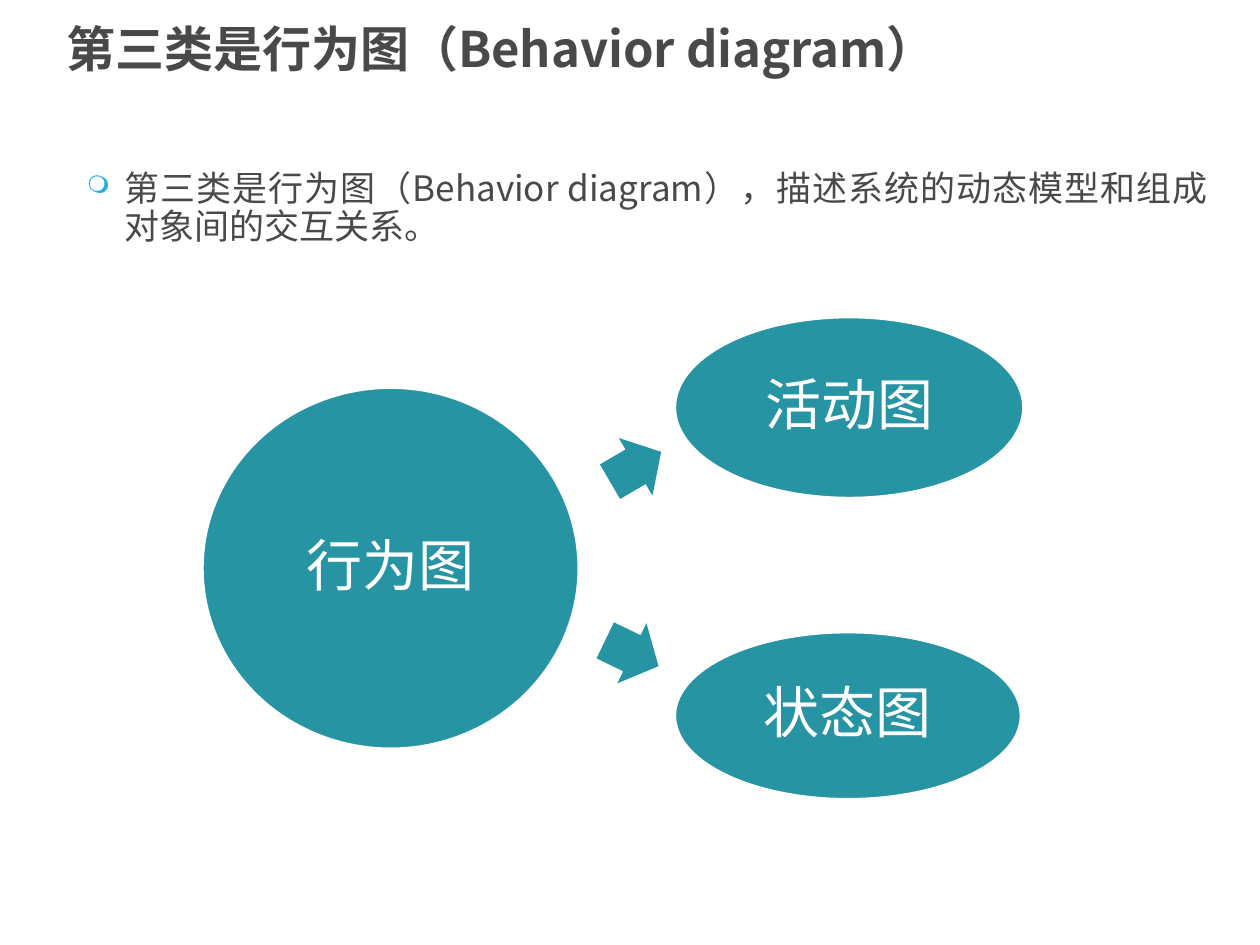
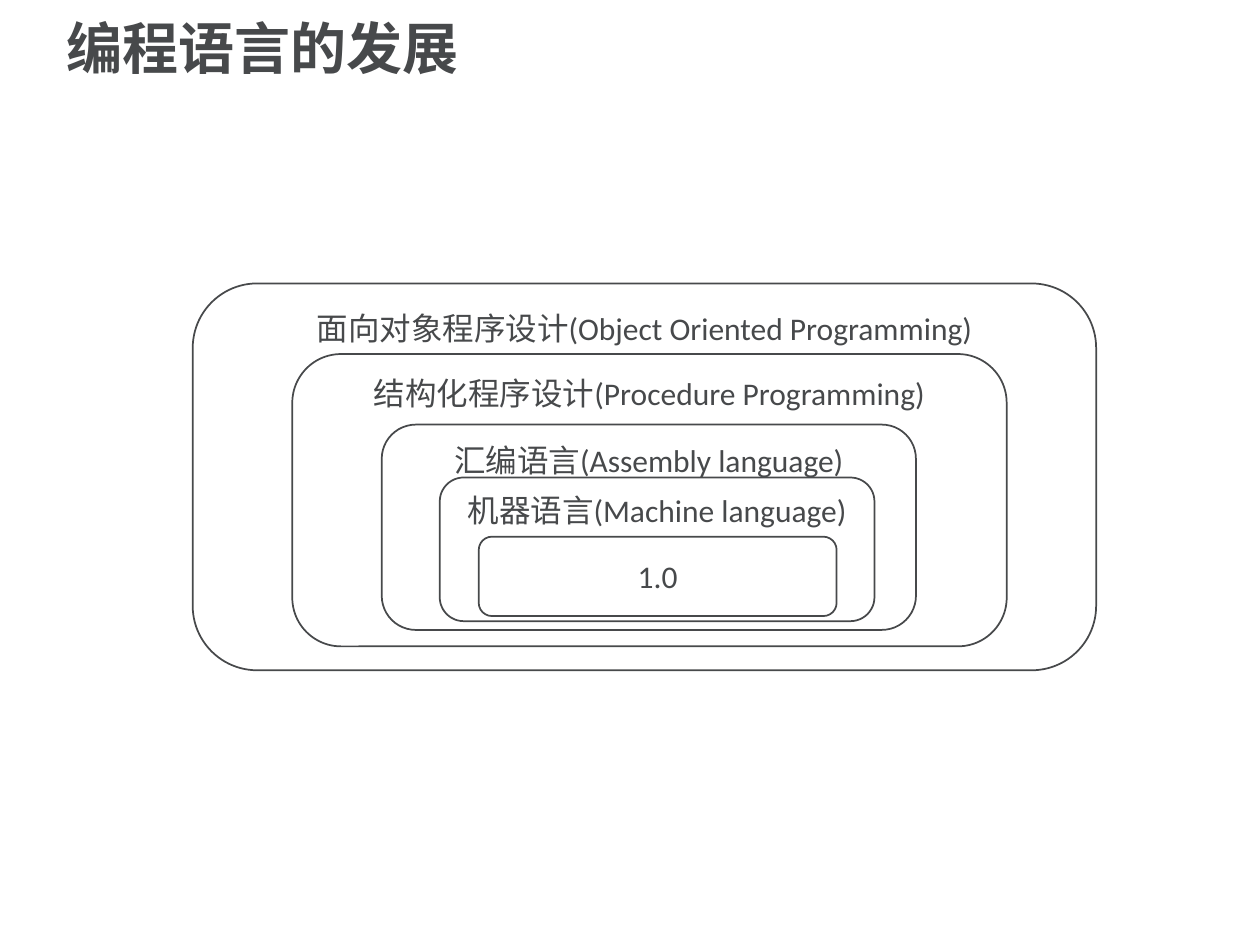
from pptx import Presentation
from pptx.dml.color import RGBColor
from pptx.enum.shapes import MSO_SHAPE as Shape
from pptx.enum.text import MSO_ANCHOR as Anchor, PP_ALIGN as Align
from pptx.oxml.ns import qn
from pptx.util import Inches, Pt
from lxml.etree import SubElement

COLORS = {"ink": "47494B", "teal": "2794A4", "bullet": "22B1DE", "white": "FFFFFF"}
CJK_FONT = "Noto Sans CJK SC"
LATIN_FONT = "Calibri"
TITLE_BOX = (0.43, 0.06, 9.05, 0.7)


def color(name):
    """Return the named palette colour."""
    return RGBColor.from_string(COLORS[name])


def write_text(shape, text, size, font=CJK_FONT, ink="ink", bold=False,
               align=Align.LEFT, anchor=Anchor.TOP, spacing=1.0, before=0, inset=None):
    """Write one formatted paragraph into a shape and return it."""
    frame = shape.text_frame
    frame.word_wrap = True
    frame.vertical_anchor = anchor
    if inset is not None:
        frame.margin_left = frame.margin_right = Inches(inset)
        frame.margin_top = frame.margin_bottom = Inches(inset)
    paragraph = frame.paragraphs[0]
    paragraph.alignment = align
    paragraph.line_spacing = spacing
    paragraph.space_before = Pt(before)
    run = paragraph.add_run()
    run.text = text
    run.font.size = Pt(size)
    run.font.bold = bold
    run.font.name = font
    run.font.color.rgb = color(ink)
    SubElement(run._r.get_or_add_rPr(), qn("a:ea"), typeface=CJK_FONT)
    return paragraph


def add_bullet(paragraph, character, ink, percent, indent):
    """Give a paragraph a coloured hanging bullet."""
    properties = paragraph._p.get_or_add_pPr()
    properties.set("marL", str(Inches(indent)))
    properties.set("indent", str(-Inches(indent)))
    bullet_color = SubElement(properties, qn("a:buClr"))
    SubElement(bullet_color, qn("a:srgbClr"), val=COLORS[ink])
    SubElement(properties, qn("a:buSzPct"), val=str(percent * 1000))
    SubElement(properties, qn("a:buChar"), char=character)


def add_text_box(slide, box):
    """Add an empty text box at a box given in inches."""
    return slide.shapes.add_textbox(*map(Inches, box))


def add_filled_shape(slide, kind, box, fill, line=None):
    """Add a flat preset shape with an optional one-point outline."""
    shape = slide.shapes.add_shape(kind, *map(Inches, box))
    shape.shadow.inherit = False
    shape.fill.solid()
    shape.fill.fore_color.rgb = color(fill)
    if line:
        shape.line.color.rgb = color(line)
        shape.line.width = Pt(1)
    else:
        shape.line.fill.background()
    return shape


def add_titled_slide(presentation, title, size):
    """Add a blank slide with the shared title style."""
    slide = presentation.slides.add_slide(presentation.slide_layouts[6])
    write_text(add_text_box(slide, TITLE_BOX), title, size, bold=True,
               anchor=Anchor.MIDDLE, spacing=0.9)
    return slide


def add_behavior_map(slide, left, top):
    """Draw the behavior circle, its two diagram kinds and the arrows to them."""
    ovals = [
        ("行为图", 0, 0.56, 2.98, 2.86),
        ("活动图", 3.75, 0, 2.76, 1.43),
        ("状态图", 3.75, 2.5, 2.74, 1.32),
    ]
    for label, x, y, width, height in ovals:
        oval = add_filled_shape(slide, Shape.OVAL, (left + x, top + y, width, height),
                                "teal", "white")
        write_text(oval, label, 32, ink="white", align=Align.CENTER,
                   anchor=Anchor.MIDDLE, spacing=0.9, inset=0)
    for x, y, angle in [(3.2, 0.92, 329.7), (3.17, 2.4, 25.8)]:
        arrow = add_filled_shape(slide, Shape.RIGHT_ARROW,
                                 (left + x, top + y, 0.47, 0.53), "teal")
        arrow.adjustments[0] = 0.6
        arrow.rotation = angle


def add_language_layers(slide, left, top):
    """Draw the nested language generations from the outermost inwards."""
    layers = [
        ("面向对象程序设计(Object Oriented Programming)", 0, 0, 7.17, 3.07),
        ("结构化程序设计(Procedure Programming)", 0.79, 0.56, 5.67, 2.32),
        ("汇编语言(Assembly language)", 1.5, 1.12, 4.24, 1.63),
        ("机器语言(Machine language)", 1.96, 1.54, 3.45, 1.14),
        ("1.0", 2.27, 2.01, 2.84, 0.63),
    ]
    for label, x, y, width, height in layers:
        layer = add_filled_shape(slide, Shape.ROUNDED_RECTANGLE,
                                 (left + x, top + y, width, height), "white", "ink")
        is_core = label == layers[-1][0]
        write_text(layer, label, 18, font=LATIN_FONT, align=Align.CENTER,
                   anchor=Anchor.MIDDLE if is_core else Anchor.TOP)


def build_behavior_slide(presentation):
    """Build the slide on behavior diagrams."""
    slide = add_titled_slide(presentation, "第三类是行为图（Behavior diagram）", 28)
    paragraph = write_text(
        add_text_box(slide, (0.59, 1.31, 9.09, 0.96)),
        "第三类是行为图（Behavior diagram），描述系统的动态模型和组成对象间的交互关系。",
        20, align=Align.JUSTIFY, spacing=0.9, before=2)
    add_bullet(paragraph, "❍", "bullet", 70, 0.3)
    add_behavior_map(slide, 1.61, 2.52)


def build_language_slide(presentation):
    """Build the slide on the development of programming languages."""
    slide = add_titled_slide(presentation, "编程语言的发展", 32)
    add_language_layers(slide, 1.53, 2.25)


def main():
    """Build and save the presentation."""
    presentation = Presentation()
    presentation.slide_width = Inches(10)
    presentation.slide_height = Inches(7.5)
    build_behavior_slide(presentation)
    build_language_slide(presentation)
    presentation.save("out.pptx")


if __name__ == "__main__":
    main()
